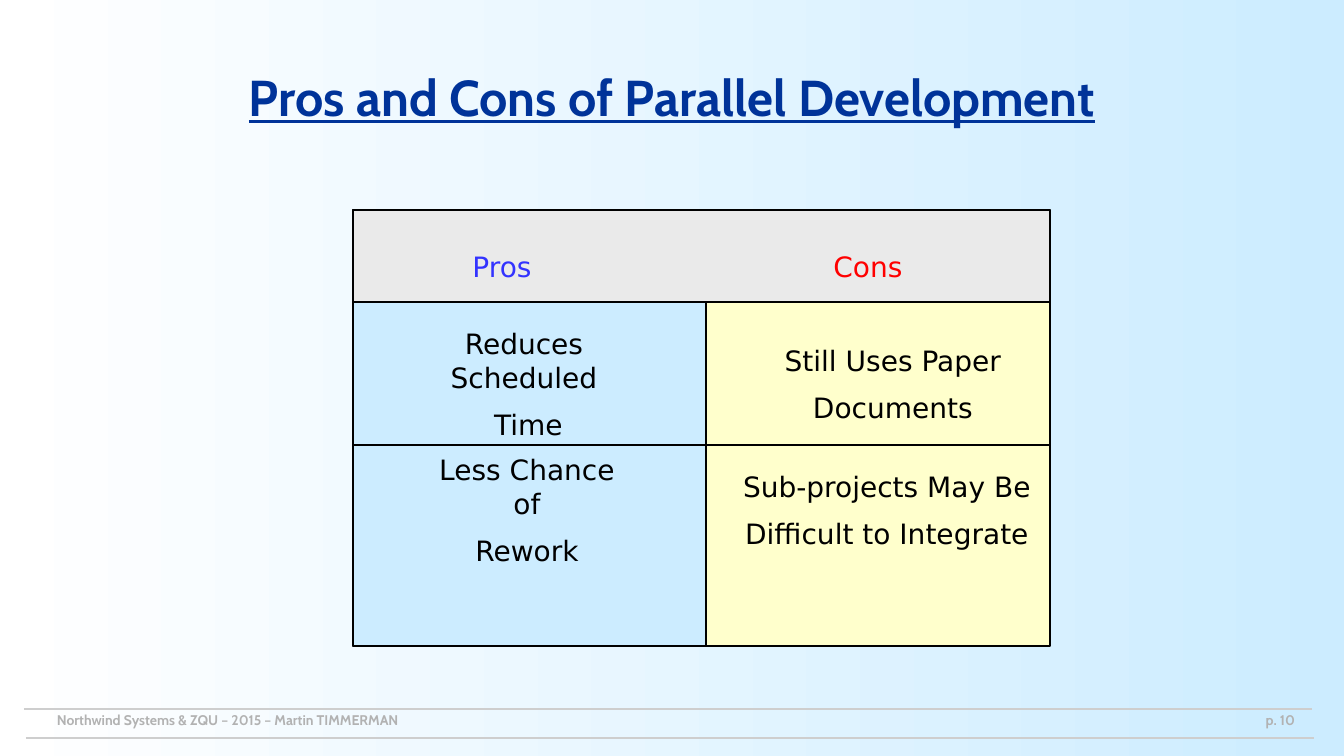
from collections import namedtuple

from lxml.etree import SubElement
from pptx import Presentation
from pptx.dml.color import RGBColor
from pptx.enum.shapes import MSO_CONNECTOR as Connector, MSO_SHAPE as Preset
from pptx.enum.text import MSO_ANCHOR as Anchor, PP_ALIGN as Align
from pptx.oxml.ns import qn
from pptx.util import Emu, Pt

Box = namedtuple("Box", "left top width height")

EMU_PER_PIXEL = 914400 / 100.8
WHITE = RGBColor(0xFF, 0xFF, 0xFF)
BLACK = RGBColor(0, 0, 0)
NAVY = RGBColor(0x00, 0x33, 0x99)
BLUE = RGBColor(0x33, 0x33, 0xFF)
RED = RGBColor(0xFF, 0, 0)
SKY = RGBColor(0xCC, 0xEC, 0xFF)
CREAM = RGBColor(0xFF, 0xFF, 0xCC)
SILVER = RGBColor(0xEA, 0xEA, 0xEA)
RULE_GRAY = RGBColor(0xCE, 0xCE, 0xCE)
FOOTER_GRAY = RGBColor(0xB2, 0xB2, 0xB2)


def px(length):
    return Emu(round(length * EMU_PER_PIXEL))


def add_text(page, box, text, font="DejaVu Sans", size=20, color=BLACK,
             bold=False, underline=False, align=Align.CENTER, wrap=False):
    """Write one paragraph per line; a vertical tab breaks within one."""
    frame = page.shapes.add_textbox(*map(px, box)).text_frame
    frame.word_wrap = wrap
    frame.vertical_anchor = Anchor.MIDDLE
    frame.margin_left = frame.margin_right = 0
    frame.text = text
    for index, para in enumerate(frame.paragraphs):
        para.alignment = align
        para.space_before = Pt(size / 2 if index else 0)
        for span in para.runs:
            span.font.name = font
            span.font.size = Pt(size)
            span.font.bold = bold
            span.font.underline = underline
            span.font.color.rgb = color


def add_panel(page, box, color):
    panel = page.shapes.add_shape(Preset.RECTANGLE, *map(px, box))
    panel.shadow.inherit = False
    panel.fill.solid()
    panel.fill.fore_color.rgb = color
    panel.line.color.rgb = BLACK
    panel.line.width = Pt(1)


def add_rule(page, left, top, width, color, weight):
    rule = page.shapes.add_connector(
        Connector.STRAIGHT, px(left), px(top), px(left + width), px(top))
    rule.line.color.rgb = color
    rule.line.width = Pt(weight)
    SubElement(rule._element.spPr, qn("a:effectLst"))


def add_background(page):
    fill = page.background.fill
    fill.gradient()
    fill.gradient_angle = 0
    for stop, color in zip(fill.gradient_stops, (WHITE, SKY)):
        stop.color.rgb = color


def add_footer(page, box):
    for shift, top in ((0, box.top), (2, box.top + box.height)):
        add_rule(page, box.left + shift, top, 1288, RULE_GRAY, 2)
    line = Box(box.left + 33, box.top - 2, 1238, 26)
    for text, align in (
            ("Northwind Systems & ZQU – 2015 – Martin TIMMERMAN", Align.LEFT),
            ("p. 10", Align.RIGHT)):
        add_text(page, line, text, font="Cabin", size=10, color=FOOTER_GRAY,
                 bold=True, align=align, wrap=True)


def add_comparison(page, box):
    header_height, pros_width, divider = 92, 353, 235

    # Panels, back to front
    add_panel(page, box, CREAM)
    add_panel(page, box._replace(height=header_height), SILVER)
    add_panel(page, Box(box.left, box.top + header_height, pros_width,
                        box.height - header_height), SKY)

    # Labels, each centred on a point within the box
    labels = (
        (149, 56, "Pros", BLUE),
        (515, 56, "Cons", RED),
        (171, 174, "Reduces\vScheduled\n Time", BLACK),
        (174, 300, "Less Chance\vof\nRework", BLACK),
        (540, 174, "Still Uses Paper\nDocuments", BLACK),
        (534, 300, "Sub-projects May Be\nDifficult to Integrate", BLACK),
    )
    width, height = 300, 120
    for center, middle, text, color in labels:
        add_text(page, Box(box.left + center - width / 2,
                           box.top + middle - height / 2, width, height),
                 text, color=color)

    # Divider between the two rows
    add_rule(page, box.left, box.top + divider, box.width, BLACK, 1)


deck = Presentation()
deck.slide_width, deck.slide_height = px(1344), px(756)
page = deck.slides.add_slide(deck.slide_layouts[6])
add_background(page)
add_footer(page, Box(24, 709, 1290, 29))
add_text(page, Box(56, 42, 1232, 109), "Pros and Cons of Parallel Development",
         font="Cabin", size=36, color=NAVY, bold=True, underline=True,
         wrap=True)
add_comparison(page, Box(353, 210, 697, 436))
deck.save("out.pptx")
